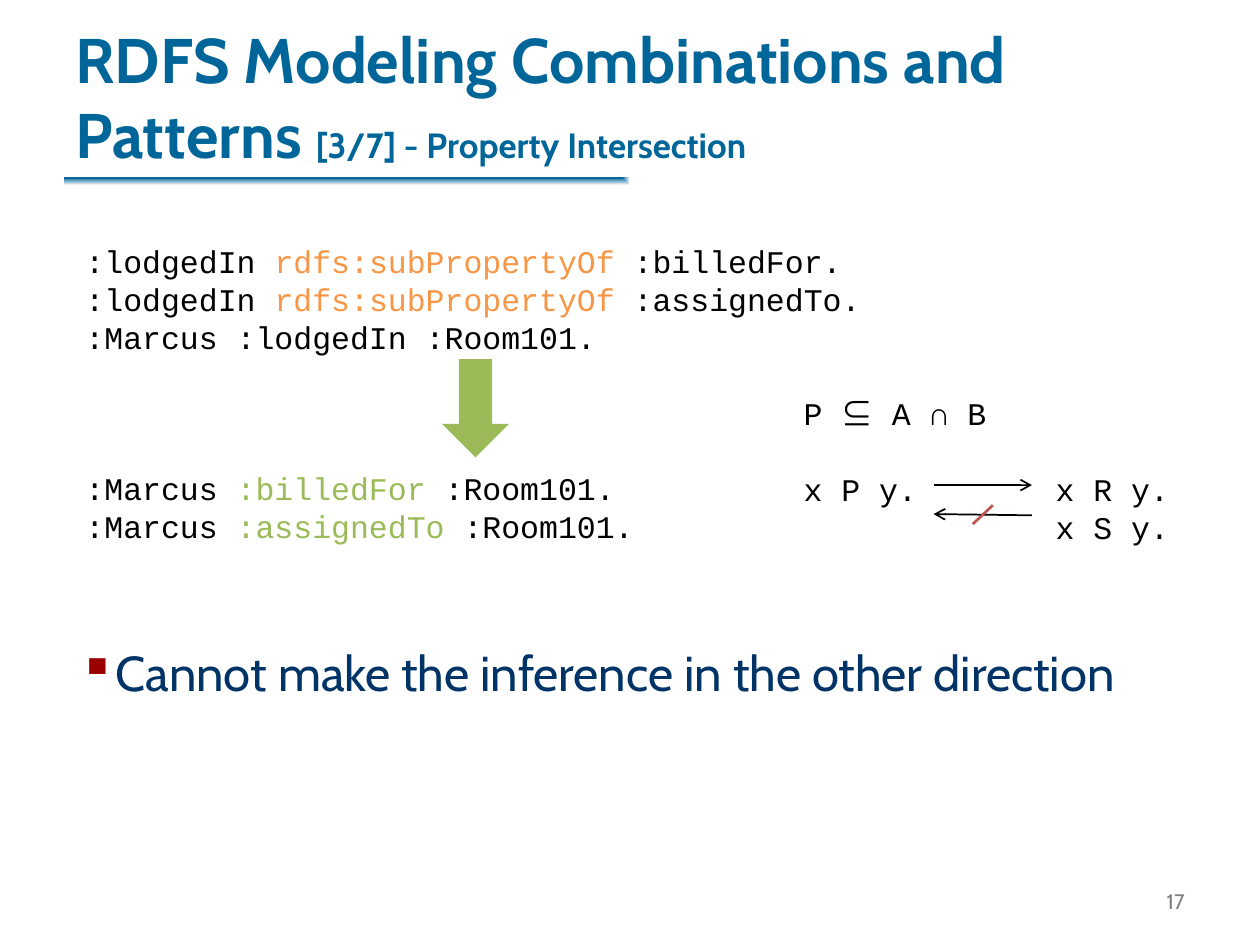
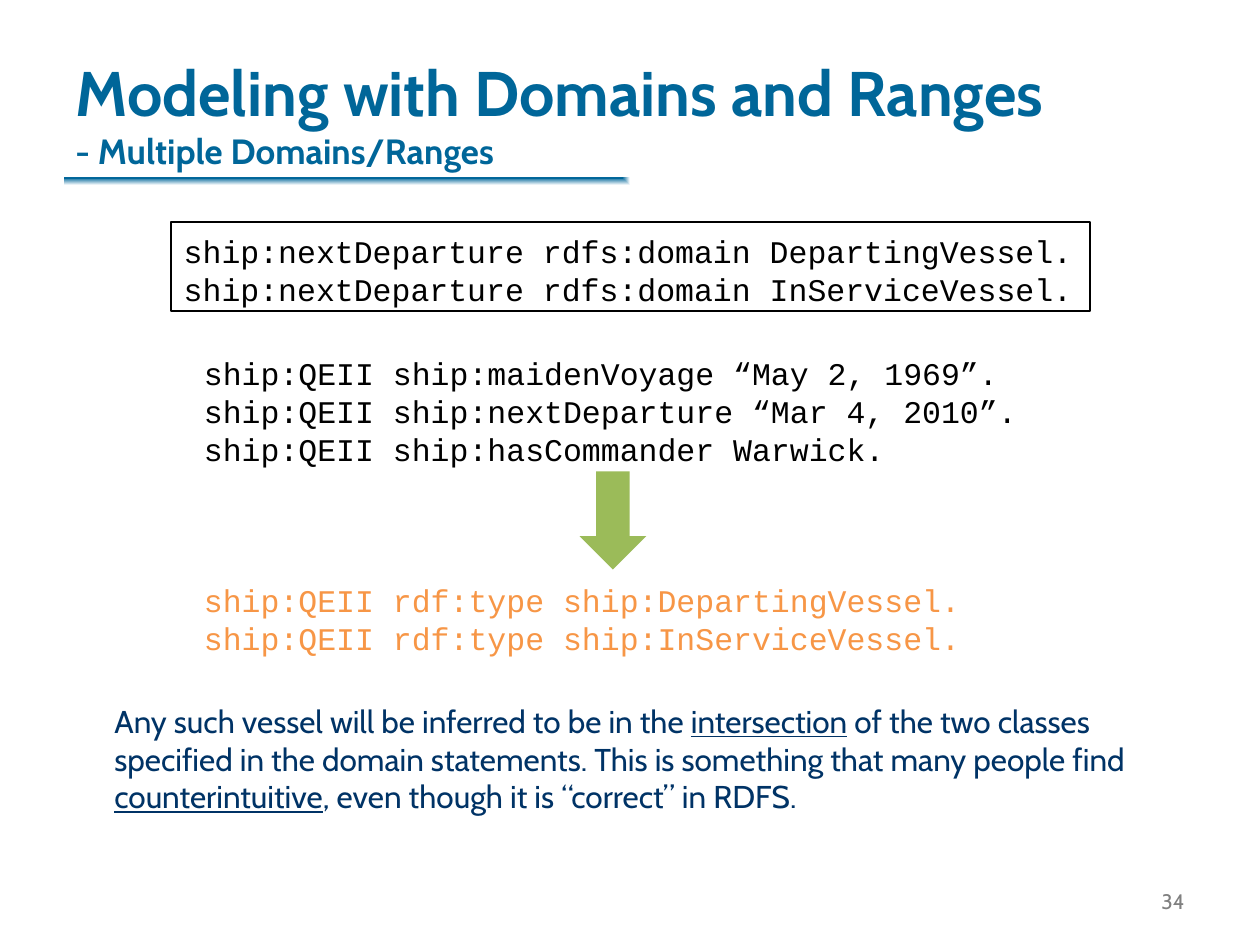
from lxml import etree
from pptx import Presentation
from pptx.dml.color import RGBColor
from pptx.enum.shapes import MSO_CONNECTOR, MSO_SHAPE
from pptx.enum.text import MSO_ANCHOR, PP_ALIGN
from pptx.oxml.ns import qn
from pptx.util import Inches, Pt

RECTANGLE, DOWN_ARROW = MSO_SHAPE.RECTANGLE, MSO_SHAPE.DOWN_ARROW
STRAIGHT = MSO_CONNECTOR.STRAIGHT
TOP, MIDDLE, BOTTOM = MSO_ANCHOR.TOP, MSO_ANCHOR.MIDDLE, MSO_ANCHOR.BOTTOM
LEFT, RIGHT = PP_ALIGN.LEFT, PP_ALIGN.RIGHT

COLUMNS, ROWS = 100, 75
BLUE, NAVY, GREY, BLACK, WHITE = "006699", "003366", "808080", "000000", "FFFFFF"
ORANGE, GREEN, RED, BULLET_RED = "F79646", "9BBB59", "C0504D", "990000"
SANS, MONO, SYMBOLS = "Cabin", "Courier New", "Noto Sans CJK KR"
CODE_LINE = 21.6
MARGIN, CONTENT_WIDTH, CONTENT_BOTTOM = 5, 90, 67


def rgb(value):
    return RGBColor.from_string(value)


class SlideWriter:
    """Holds the deck's style and the slide being filled; lengths are grid cells."""

    def __init__(self):
        self.deck = Presentation()
        self.deck.slide_width, self.deck.slide_height = Inches(10), Inches(7.5)
        self.cell_width = self.deck.slide_width / COLUMNS
        self.cell_height = self.deck.slide_height / ROWS
        self.page = None

    def place(self, left, top, width, height):
        return (round(left * self.cell_width), round(top * self.cell_height),
                round(width * self.cell_width), round(height * self.cell_height))

    def start_page(self, number, title, subtitle, break_title=False):
        self.page = self.deck.slides.add_slide(self.deck.slide_layouts[6])
        self.title_band()
        frame = self.text_box(MARGIN, 0, CONTENT_WIDTH, 14.1, anchor=BOTTOM)
        para = self.paragraph(frame, [title], 36, SANS, BLUE)
        para.font.bold = True
        if break_title:
            para.add_line_break()
        self.add_span(para, subtitle, size=20)
        frame = self.text_box(89.8, 69.5, 5.2, 4, anchor=MIDDLE)
        self.paragraph(frame, [str(number)], 12, SANS, GREY, align=RIGHT)

    def title_band(self):
        band = self.shape(RECTANGLE, 5.1, 14.1, 89.8, 1.2)
        band.fill.gradient()
        for stop, position, color in zip(band.fill.gradient_stops, (0, 1), (BLUE, WHITE)):
            stop.position = position
            stop.color.rgb = rgb(color)
        gradient = band.fill._xPr.find(qn("a:gradFill"))
        linear = gradient.find(qn("a:lin"))
        corner = etree.Element(qn("a:path"), {"path": "rect"})
        etree.SubElement(corner, qn("a:fillToRect"), {"r": "100000", "b": "100000"})
        gradient.replace(linear, corner)

    def shape(self, kind, left, top, width, height, fill=None, line=None):
        shape = self.page.shapes.add_shape(kind, *self.place(left, top, width, height))
        shape.shadow.inherit = False
        if fill:
            shape.fill.solid()
            shape.fill.fore_color.rgb = rgb(fill)
        else:
            shape.fill.background()
        if line:
            shape.line.color.rgb = rgb(line)
            shape.line.width = Pt(1)
        else:
            shape.line.fill.background()
        return shape

    def text_box(self, left, top, width, height, anchor=TOP):
        box = self.page.shapes.add_textbox(*self.place(left, top, width, height))
        frame = box.text_frame
        frame.word_wrap = True
        frame.vertical_anchor = anchor
        return frame

    def add_span(self, para, text, size=None, color=None, font=None, underline=None):
        span = para.add_run()
        span.text = text
        if size:
            span.font.size = Pt(size)
        if color:
            span.font.color.rgb = rgb(color)
        if font:
            span.font.name = font
        if underline:
            span.font.underline = True

    def paragraph(self, frame, spans, size, font, color, align=LEFT):
        """Append a paragraph; a span is a string or a (string, style) pair."""
        para = frame.paragraphs[0]
        if para.runs:
            para = frame.add_paragraph()
        para.alignment = align
        para.font.size, para.font.name = Pt(size), font
        para.font.color.rgb = rgb(color)
        for span in spans:
            text, style = (span, {}) if isinstance(span, str) else span
            self.add_span(para, text, **style)
        return para

    def code(self, frame, lines, lines_before=0, tab=None):
        """Append code lines, set off by a number of line heights."""
        frame.margin_top, frame.margin_right = Inches(0.08), 0
        for index, spans in enumerate(lines):
            para = self.paragraph(frame, spans, 18, MONO, BLACK)
            para.line_spacing = Pt(CODE_LINE)
            if index == 0 and lines_before:
                para.space_before = Pt(lines_before * CODE_LINE)
            if tab:
                stops = etree.Element(qn("a:tabLst"))
                position = str(round(tab * self.cell_width))
                etree.SubElement(stops, qn("a:tab"), {"pos": position, "algn": "l"})
                para._p.pPr.find(qn("a:defRPr")).addprevious(stops)

    def inference(self, left, top, width, facts, results, arrow_left):
        """Code facts, a down arrow and the triples that follow from them."""
        frame = self.text_box(left, top, width, 25.2)
        self.code(frame, facts)
        self.code(frame, results, lines_before=3)
        self.shape(DOWN_ARROW, arrow_left, top + 10.1, 5.3, 7.8, fill=GREEN)

    def remark(self, top, spans, size, bullet=None):
        frame = self.text_box(MARGIN, top, CONTENT_WIDTH, CONTENT_BOTTOM - top)
        para = self.paragraph(frame, spans, size, SANS, NAVY)
        properties = para._p.pPr
        properties.set("marL", str(Inches(0.31)))
        if bullet:
            properties.set("indent", str(Inches(-0.28)))
            color = etree.Element(qn("a:buClr"))
            etree.SubElement(color, qn("a:srgbClr"), {"val": BULLET_RED})
            sign = etree.Element(qn("a:buChar"), {"char": bullet})
            for element in (color, sign):
                properties.find(qn("a:defRPr")).addprevious(element)

    def line(self, start, end, color=BLACK, width=1, arrow=False):
        points = self.place(*start, *end)
        connector = self.page.shapes.add_connector(STRAIGHT, *points)
        connector.line.color.rgb = rgb(color)
        connector.line.width = Pt(width)
        if arrow:
            outline = connector.line._get_or_add_ln()
            etree.SubElement(outline, qn("a:tailEnd"), {"type": "arrow"})
        etree.SubElement(connector._element.spPr, qn("a:effectLst"))


def property_intersection(writer):
    writer.start_page(17, "RDFS Modeling Combinations and Patterns ",
                      "[3/7] - Property Intersection")
    sub_property = ("rdfs:subPropertyOf", {"color": ORANGE})
    parents = (":billedFor", ":assignedTo")
    facts = [[":lodgedIn ", sub_property, f" {parent}."] for parent in parents]
    facts.append([":Marcus :lodgedIn :Room101."])
    results = [[":Marcus ", (parent, {"color": GREEN}), " :Room101."]
               for parent in parents]
    writer.inference(5.8, 18.4, 63.8, facts, results, arrow_left=35.1)

    rule = writer.text_box(62.8, 30.5, 31.3, 13.1)
    writer.code(rule, [["P ", ("⊆", {"font": SYMBOLS}), " A ∩ B"]])
    writer.code(rule, [["x P y.\tx R y."], ["\tx S y."]], lines_before=1, tab=20)
    writer.line((74.1, 38.5), (81.9, 38.5), arrow=True)
    writer.line((81.9, 40.9), (74.1, 40.8), arrow=True)
    writer.line((78.8, 40.1), (77.2, 41.6), color=RED, width=1.5)

    writer.remark(50.5, ["Cannot make the inference in the other direction"], 28,
                  bullet="▪")


def multiple_domains(writer):
    writer.start_page(34, "Modeling with Domains and Ranges",
                      "- Multiple Domains/Ranges", break_title=True)
    classes = ("DepartingVessel", "InServiceVessel")
    domains = writer.shape(RECTANGLE, 13.6, 17.6, 72.9, 7.1, line=BLACK).text_frame
    domains.word_wrap = True
    domains.vertical_anchor = TOP
    writer.code(domains, [[f"ship:nextDeparture rdfs:domain {name}."]
                          for name in classes])

    facts = [[f"ship:QEII ship:{fact}."] for fact in (
        "maidenVoyage “May 2, 1969”", "nextDeparture “Mar 4, 2010”",
        "hasCommander Warwick")]
    results = [[(f"ship:QEII rdf:type ship:{name}.", {"color": ORANGE})]
               for name in classes]
    writer.inference(15.2, 27.3, 66.8, facts, results, arrow_left=46)

    underlined = {"underline": True}
    writer.remark(55.2, [
        "Any such vessel will be inferred to be in the ",
        ("intersection", underlined),
        " of the two classes specified in the domain statements. "
        "This is something that many people find ",
        ("counterintuitive", underlined),
        ", even though it is “correct” in RDFS."], 18)


def main():
    writer = SlideWriter()
    property_intersection(writer)
    multiple_domains(writer)
    writer.deck.save("out.pptx")


if __name__ == "__main__":
    main()
